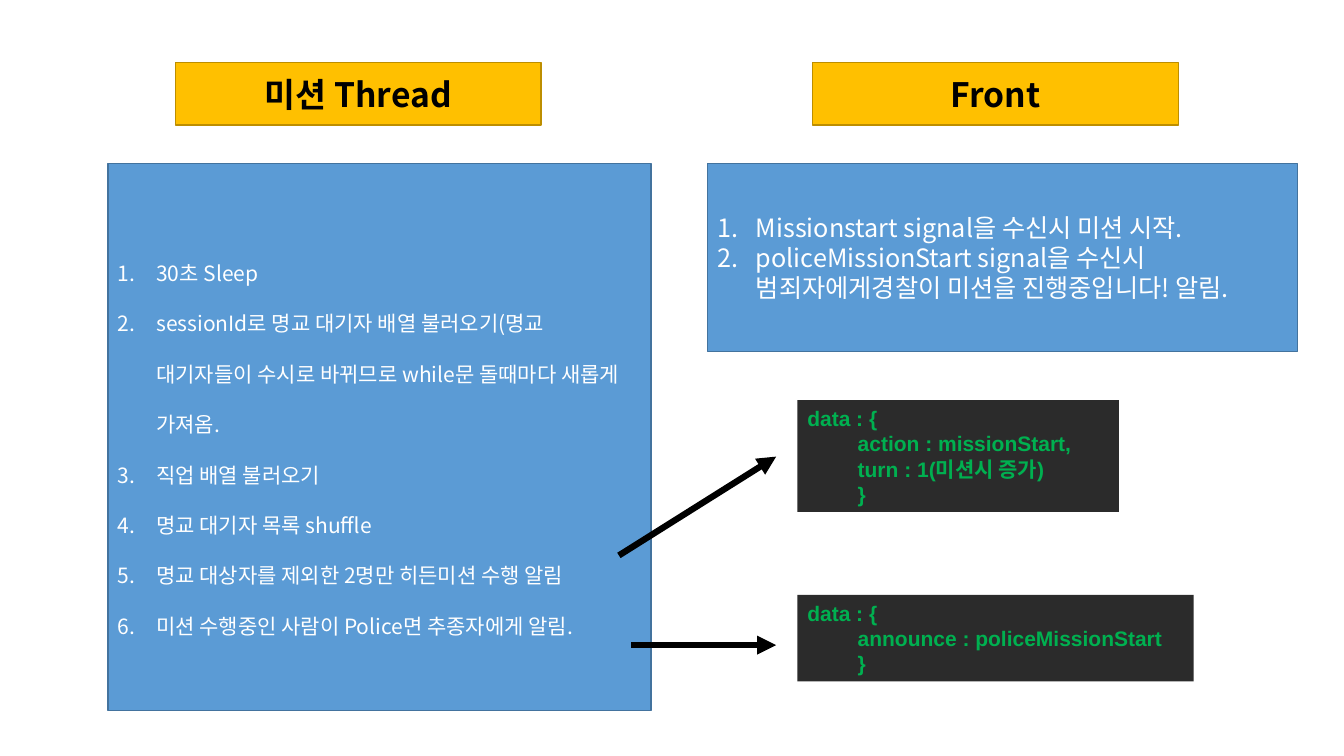
from pptx import Presentation
from pptx.dml.color import RGBColor
from pptx.enum.shapes import MSO_CONNECTOR, MSO_SHAPE
from pptx.enum.text import MSO_ANCHOR, MSO_AUTO_SIZE, PP_ALIGN
from pptx.oxml.ns import qn
from pptx.util import Inches, Pt
from lxml.etree import SubElement

KOREAN = "Noto Sans CJK KR"
THEME = {
    "heading": dict(fill="FFC000", line="BD8E00", color="000000", size=24, font=KOREAN, bold=True,
                    fit=MSO_AUTO_SIZE.NONE, align=PP_ALIGN.CENTER, spacing=1, indents=[(0, 0)], bullet=False),
    "steps": dict(fill="5B9BD5", line="43739E", color="FFFFFF", size=15, font=KOREAN, bold=False,
                  fit=MSO_AUTO_SIZE.NONE, align=PP_ALIGN.LEFT, spacing=2, indents=[(0.38, -0.38)], bullet=True),
    "code": dict(fill="2B2B2B", line=None, color="00B050", size=15, font="Arial", bold=True,
                 fit=MSO_AUTO_SIZE.SHAPE_TO_FIT_TEXT, align=PP_ALIGN.LEFT, spacing=1,
                 indents=[(0, 0), (0.5, 0)], bullet=False),
    "arrow": dict(color="000000", width=4.5),
}
THEME["signals"] = {**THEME["steps"], "size": 18, "spacing": 1}

prs = Presentation()
prs.slide_width, prs.slide_height = Inches(13.333), Inches(7.5)
s = prs.slides.add_slide(prs.slide_layouts.get_by_name("Comparison"))
ph = {p.placeholder_format.idx: p for p in s.placeholders}


def place(x, y):
    return int(prs.slide_width * x / 100), int(prs.slide_height * y / 100)


def fill_box(sp, style, box, lines):
    t = THEME[style]
    spots = place(*box[:2]) + place(*box[2:])
    for name, value in zip(("left", "top", "width", "height"), spots):
        setattr(sp, name, value)
    sp.fill.solid()
    sp.fill.fore_color.rgb = RGBColor.from_string(t["fill"])
    if t["line"]:
        sp.line.color.rgb = RGBColor.from_string(t["line"])
        sp.line.width = Pt(1)
    else:
        sp.line.fill.background()
    tf = sp.text_frame
    frame = dict(word_wrap=True, auto_size=t["fit"], vertical_anchor=MSO_ANCHOR.MIDDLE)
    for name, value in frame.items():
        setattr(tf, name, value)
    tf.text = "\n".join(lines)
    for i, p in enumerate(tf.paragraphs):
        level = min(i, len(t["indents"]) - 1)
        para = dict(level=level, alignment=t["align"], line_spacing=t["spacing"],
                    space_before=Pt(0), space_after=Pt(0))
        for name, value in para.items():
            setattr(p, name, value)
        pPr = p._p.get_or_add_pPr()
        for name, value in zip(("marL", "indent"), t["indents"][level]):
            pPr.set(name, str(Inches(value)))
        if t["bullet"]:
            SubElement(pPr, qn("a:buFont")).set("typeface", "+mj-lt")
            SubElement(pPr, qn("a:buAutoNum")).set("type", "arabicPeriod")
        else:
            SubElement(pPr, qn("a:buNone"))
        for r in p.runs:
            for name, value in dict(size=Pt(t["size"]), bold=t["bold"], name=t["font"]).items():
                setattr(r.font, name, value)
            r.font.color.rgb = RGBColor.from_string(t["color"])
            SubElement(r._r.get_or_add_rPr(), qn("a:ea")).set("typeface", KOREAN)


panels = [
    (ph[0], "heading", (13.05, 8.27, 27.22, 8.27), ["미션 Thread"]),
    (ph[3], "heading", (60.45, 8.27, 27.22, 8.27), ["Front"]),
    (ph[2], "steps", (8.03, 21.6, 40.42, 72.4), [
        "30초 Sleep",
        "sessionId로 명교 대기자 배열 불러오기(명교 대기자들이 수시로 바뀌므로 while문 돌때마다 새롭게 가져옴.",
        "직업 배열 불러오기",
        "명교 대기자 목록 shuffle",
        "명교 대상자를 제외한 2명만 히든미션 수행 알림",
        "미션 수행중인 사람이 Police면 추종자에게 알림."]),
    (ph[4], "signals", (52.65, 21.6, 43.88, 24.93), [
        "Missionstart signal을 수신시 미션 시작.",
        "policeMissionStart signal을 수신시 범죄자에게경찰이 미션을 진행중입니다! 알림."]),
]
for panel in panels:
    fill_box(*panel)
ph[1].element.getparent().remove(ph[1].element)

messages = [
    ((59.33, 52.93, 23.93, 14.8), ["data : {", "action : missionStart,", "turn : 1(미션시 증가)", "}"]),
    ((59.33, 78.67, 29.48, 11.47), ["data : {", "announce : policeMissionStart", "}"]),
]
for box, lines in messages:
    sp = s.shapes.add_shape(MSO_SHAPE.RECTANGLE, 0, 0, 0, 0)
    sp.shadow.inherit = False
    fill_box(sp, "code", box, lines)

arrows = [((46.05, 73.47), (57.75, 60.4)), ((46.95, 85.33), (57.75, 85.33))]
for start, end in arrows:
    c = s.shapes.add_connector(MSO_CONNECTOR.STRAIGHT, *place(*start), *place(*end))
    c.line.color.rgb = RGBColor.from_string(THEME["arrow"]["color"])
    c.line.width = Pt(THEME["arrow"]["width"])
    SubElement(c.line._get_or_add_ln(), qn("a:tailEnd")).set("type", "triangle")
    SubElement(c.element.spPr, qn("a:effectLst"))

prs.save("out.pptx")
